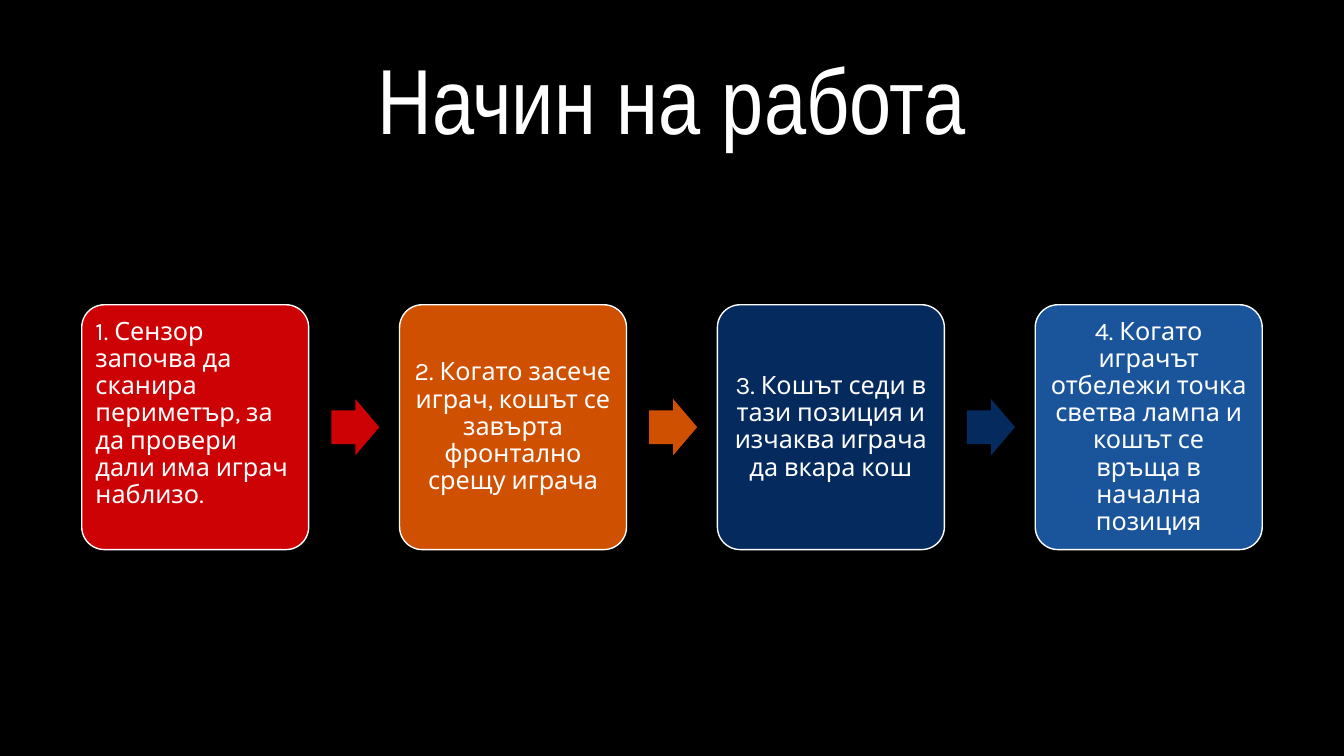
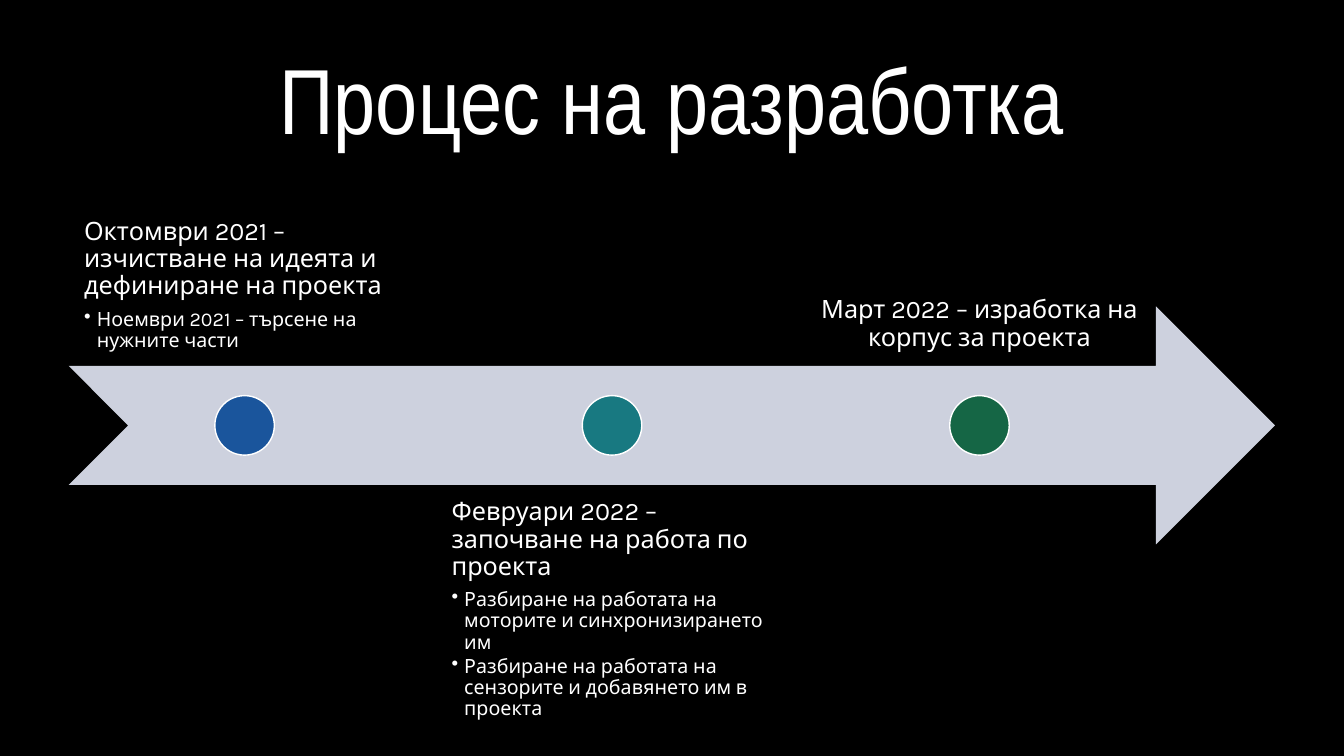
from lxml import etree
from pptx import Presentation
from pptx.dml.color import RGBColor
from pptx.enum import shapes, text
from pptx.oxml.ns import qn
from pptx.util import Cm, Pt

BLACK = RGBColor(0x00, 0x00, 0x00)
WHITE = RGBColor(0xFF, 0xFF, 0xFF)
RED = RGBColor(0xCD, 0x02, 0x05)
ORANGE = RGBColor(0xD0, 0x50, 0x02)
NAVY = RGBColor(0x05, 0x2A, 0x5E)
BLUE = RGBColor(0x1A, 0x55, 0x9C)
TEAL = RGBColor(0x18, 0x79, 0x81)
GREEN = RGBColor(0x15, 0x66, 0x45)
PALE = RGBColor(0xCD, 0xD1, 0xDE)

TITLE_FONT, BODY_FONT = "Arial Narrow", "Karla"
SHAPE = shapes.MSO_SHAPE
LEFT, CENTER = text.PP_ALIGN.LEFT, text.PP_ALIGN.CENTER
TOP, MIDDLE, BOTTOM = (text.MSO_ANCHOR.TOP, text.MSO_ANCHOR.MIDDLE,
                       text.MSO_ANCHOR.BOTTOM)

STEPS = [
    ("1. Сензор започва да сканира периметър, за да провери дали има играч "
     "наблизо.", RED, LEFT, TOP),
    ("2. Когато засече играч, кошът се завърта фронтално срещу играча",
     ORANGE, CENTER, MIDDLE),
    ("3. Кошът седи в тази позиция и изчаква играча да вкара кош",
     NAVY, CENTER, MIDDLE),
    ("4. Когато играчът отбележи точка светва лампа и кошът се връща в "
     "начална позиция", BLUE, CENTER, MIDDLE),
]
MILESTONES = [
    ("Октомври 2021 – изчистване на идеята и дефиниране на проекта",
     ["Ноември 2021 – търсене на нужните части"], BLUE, LEFT),
    ("Февруари 2022 – започване на работа по проекта",
     ["Разбиране на работата на моторите и синхронизирането им",
      "Разбиране на работата на сензорите и добавянето им в проекта"],
     TEAL, LEFT),
    ("Март 2022 – изработка на корпус за проекта", [], GREEN, CENTER),
]


def add_figure(s, kind, box, fill, outlined=False, adj=()):
    """Add a filled preset shape, with a thin white outline if asked."""
    sp = s.shapes.add_shape(kind, *map(Cm, box))
    sp.shadow.inherit = False
    sp.fill.solid()
    sp.fill.fore_color.rgb = fill
    if outlined:
        sp.line.color.rgb = WHITE
        sp.line.width = Pt(1)
    else:
        sp.line.fill.background()
    for i, value in enumerate(adj):
        sp.adjustments[i] = value
    return sp


def set_frame(tf, anchor, inset):
    """Wrap a text frame and set its anchor and equal insets."""
    tf.word_wrap = True
    tf.vertical_anchor = anchor
    tf.margin_left = tf.margin_right = Cm(inset)
    tf.margin_top = tf.margin_bottom = Cm(inset)


def write(p, words, size, align=LEFT, after=0, font=BODY_FONT):
    """Write one white run into a paragraph."""
    p.alignment = align
    p.line_spacing = 0.9
    p.space_after = Pt(after)
    r = p.add_run()
    r.text = words
    r.font.size = Pt(size)
    r.font.name = font
    r.font.color.rgb = WHITE


def add_bullet(tf, words):
    """Append a bulleted paragraph with a hanging indent."""
    p = tf.add_paragraph()
    p.level = 1
    pPr = p._p.get_or_add_pPr()
    pPr.set("marL", str(Cm(0.32)))
    pPr.set("indent", str(-Cm(0.32)))
    etree.SubElement(pPr, qn("a:buChar")).set("char", "•")
    write(p, words, 14, after=2.1)


def add_titled_slide(prs, title):
    """Add a black slide with a large centred title."""
    s = prs.slides.add_slide(prs.slide_layouts[6])
    s.background.fill.solid()
    s.background.fill.fore_color.rgb = BLACK
    tf = s.shapes.add_textbox(Cm(2.96), Cm(0.85), Cm(27.94), Cm(3.17)).text_frame
    set_frame(tf, BOTTOM, 0.13)
    write(tf.paragraphs[0], title, 66, CENTER, font=TITLE_FONT)
    return s


def add_steps(s, x, y, w, h, steps):
    """Lay out equal cards in a box, with an arrow in each gap."""
    card_w, arrow_w, arrow_h = 5.72, 1.21, 1.42
    pitch = (w - card_w) / (len(steps) - 1)
    for i, (words, color, align, anchor) in enumerate(steps):
        left = x + i * pitch
        sp = add_figure(s, SHAPE.ROUNDED_RECTANGLE, (left, y, card_w, h),
                        color, True, [0.1])
        set_frame(sp.text_frame, anchor, 0.18)
        write(sp.text_frame.paragraphs[0], words, 18, align, 6.3)
        if i < len(steps) - 1:
            add_figure(s, SHAPE.RIGHT_ARROW,
                       (left + card_w + 0.57, y + (h - arrow_h) / 2,
                        arrow_w, arrow_h), color, adj=[0.6, 0.5])


def add_timeline(s, x, y, w, h, milestones):
    """Draw an arrow in a box, with dots and notes above and below by turns."""
    add_figure(s, SHAPE.NOTCHED_RIGHT_ARROW, (x, y, w, h), PALE)
    note_w, pitch, dot = 8.81, 9.26, h / 4
    for i, (heading, bullets, color, align) in enumerate(milestones):
        left = x + 0.03 + i * pitch
        above = i % 2 == 0
        top = y - 0.75 * h if above else y + 0.75 * h
        tf = s.shapes.add_textbox(Cm(left), Cm(top), Cm(note_w), Cm(h)).text_frame
        set_frame(tf, BOTTOM if above else TOP, 0.36)
        write(tf.paragraphs[0], heading, 18, align, 6.3)
        for words in bullets:
            add_bullet(tf, words)
        add_figure(s, SHAPE.OVAL, (left + (note_w - dot) / 2,
                                   y + (h - dot) / 2, dot, dot), color, True)


def main():
    """Build and save the two slides."""
    prs = Presentation()
    prs.slide_width, prs.slide_height = Cm(33.87), Cm(19.05)
    s = add_titled_slide(prs, "Начин на работа")
    add_steps(s, 2.06, 7.68, 29.75, 6.17, STEPS)
    s = add_titled_slide(prs, "Процес на разработка")
    add_timeline(s, 1.73, 7.72, 30.4, 6, MILESTONES)
    prs.save("out.pptx")


if __name__ == "__main__":
    main()
